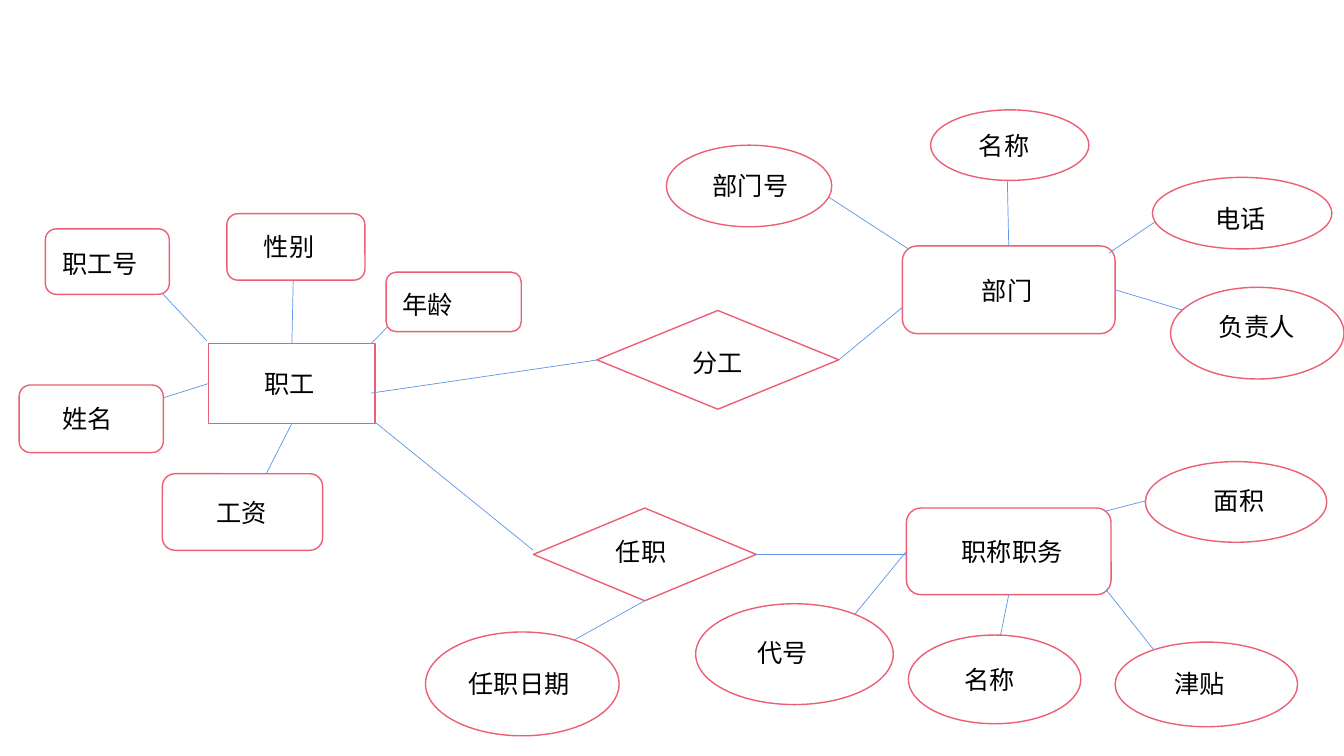
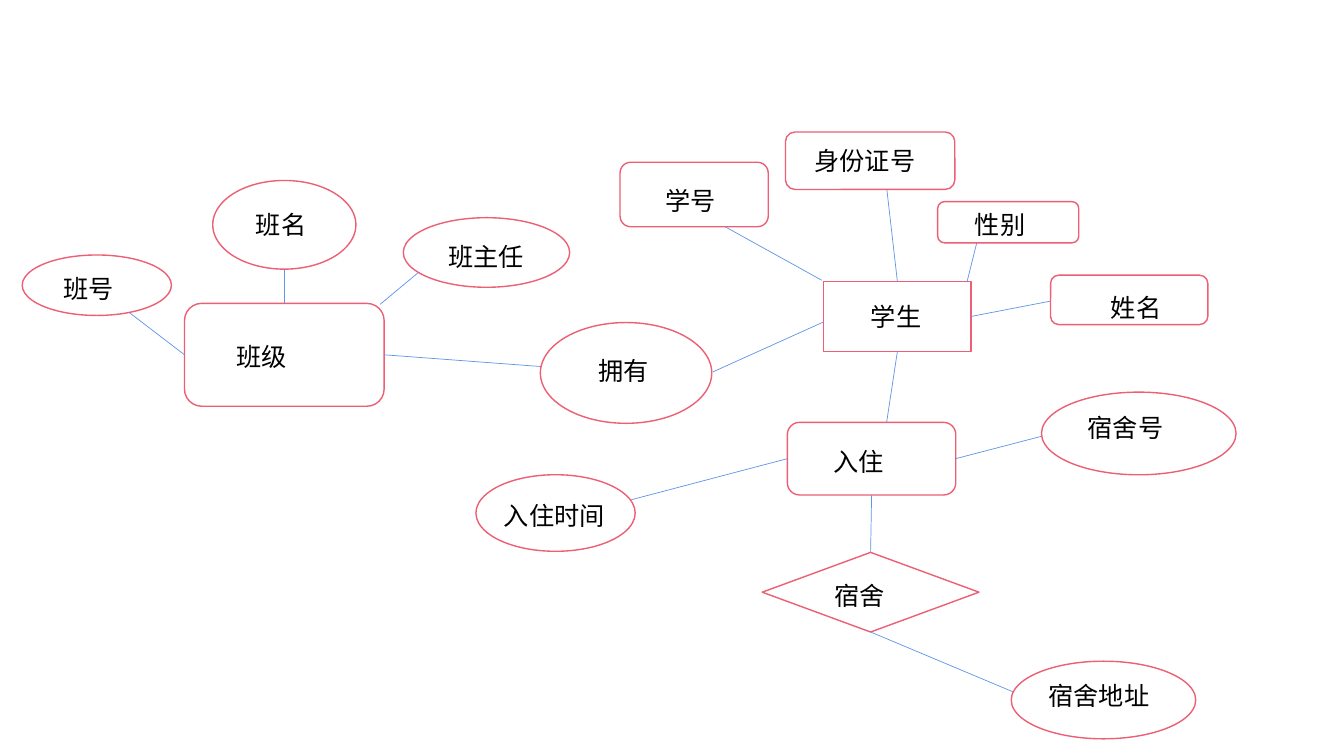
"""Draws two entity-relationship diagrams: staff and departments, students and dormitories."""
from dataclasses import dataclass
from typing import NamedTuple

from lxml import etree
from pptx import Presentation
from pptx import util as u
from pptx.dml.color import RGBColor
from pptx.enum import shapes, text
from pptx.oxml.ns import qn

EMU_PER_PX = 9144
TOP, LEFT, BOTTOM, RIGHT = range(4)
RECT = shapes.MSO_SHAPE.RECTANGLE
ROUND = shapes.MSO_SHAPE.ROUNDED_RECTANGLE
OVAL = shapes.MSO_SHAPE.OVAL
DIAMOND = shapes.MSO_SHAPE.FLOWCHART_DECISION


@dataclass(frozen=True)
class Theme:
    """Colours, font and sizes in points."""
    paper: str = "FFFFFF"
    outline: str = "EC5F74"
    link: str = "6096E6"
    ink: str = "000000"
    font: str = "Arial"
    label_size: float = 18
    outline_width: float = 1
    link_width: float = 0.5


class Node(NamedTuple):
    """A labelled outline; box is x, y, width, height and label_at is x, y, width."""
    kind: shapes.MSO_SHAPE
    box: tuple
    label: str
    label_at: tuple


def px(*lengths):
    """Turn whole pixels into EMU."""
    return [u.Emu(length * EMU_PER_PX) for length in lengths]


def write(frame, words, *, font, size, color):
    """Put one formatted run into a text frame."""
    run = frame.paragraphs[0].add_run()
    run.text = words
    run.font.name = font
    run.font.size = u.Pt(size)
    run.font.color.rgb = RGBColor.from_string(color)


class Diagram:
    """Holds the style and the current slide."""

    def __init__(self, deck, theme):
        """Remember the deck and its theme."""
        self.deck, self.theme, self.slide = deck, theme, None

    def new_slide(self):
        """Start a blank slide."""
        self.slide = self.deck.slides.add_slide(self.deck.slide_layouts[6])

    def stroke(self, line, color, width):
        """Colour a line and set its width."""
        line.color.rgb = RGBColor.from_string(color)
        line.width = u.Pt(width)

    def outline(self, node):
        """Draw the outline of a node."""
        figure = self.slide.shapes.add_shape(node.kind, *px(*node.box))
        figure.shadow.inherit = False
        figure.fill.solid()
        figure.fill.fore_color.rgb = RGBColor.from_string(self.theme.paper)
        self.stroke(figure.line, self.theme.outline, self.theme.outline_width)
        return figure

    def label(self, node):
        """Write the name of a node."""
        x, y, width = node.label_at
        frame = self.slide.shapes.add_textbox(*px(x, y, width, 40)).text_frame
        frame.word_wrap = True
        frame.auto_size = text.MSO_AUTO_SIZE.SHAPE_TO_FIT_TEXT
        write(frame, node.label, font=self.theme.font,
              size=self.theme.label_size, color=self.theme.ink)

    def link(self, figures, owner, start, end):
        """Draw a line just above its owner; an end is a point, a side or a (name, side) pair."""
        if isinstance(start, int):
            start = (owner, start)
        joined = [isinstance(tip[0], str) for tip in (start, end)]
        points = [(0, 0) if join else tip for join, tip in zip(joined, (start, end))]
        line = self.slide.shapes.add_connector(
            shapes.MSO_CONNECTOR.STRAIGHT, *px(*points[0], *points[1]))
        for join, tip, connect in zip(joined, (start, end),
                                      (line.begin_connect, line.end_connect)):
            if join:
                connect(figures[tip[0]], tip[1])
        self.stroke(line.line, self.theme.link, self.theme.link_width)
        etree.SubElement(line.element.spPr, qn("a:effectLst"))
        figures[owner].element.addnext(line.element)

    def draw(self, nodes, links):
        """Draw a whole diagram on a new slide."""
        self.new_slide()
        figures = {}
        for node in nodes:
            figures[node.label] = self.outline(node)
        for owner, ends in links.items():
            for start, end in ends:
                self.link(figures, owner, start, end)
        for node in nodes:
            self.label(node)


STAFF_NODES = [
    Node(RECT, (207, 341, 165, 79), "职工", (252, 361, 148)),
    Node(ROUND, (45, 227, 123, 65), "职工号", (52, 241, 102)),
    Node(ROUND, (225, 212, 137, 66), "性别", (252, 225, 117)),
    Node(ROUND, (383, 270, 134, 59), "年龄", (389, 282, 123)),
    Node(ROUND, (19, 382, 143, 67), "姓名", (52, 395, 123)),
    Node(ROUND, (161, 470, 159, 76), "工资", (205, 488, 108)),
    Node(DIAMOND, (529, 504, 221, 92), "任职", (601, 527, 132)),
    Node(DIAMOND, (592, 308, 240, 98), "分工", (677, 340, 133)),
    Node(ROUND, (895, 244, 211, 87), "部门", (964, 268, 179)),
    Node(ROUND, (899, 504, 203, 86), "职称职务", (944, 527, 135)),
    Node(OVAL, (661, 144, 164, 81), "部门号", (697, 164, 114)),
    Node(OVAL, (923, 109, 157, 70), "名称", (961, 124, 129)),
    Node(OVAL, (422, 627, 192, 103), "任职日期", (455, 658, 144)),
    Node(OVAL, (690, 599, 196, 100), "代号", (741, 627, 122)),
    Node(OVAL, (901, 630, 171, 88), "名称", (947, 654, 79)),
    Node(OVAL, (1106, 637, 181, 84), "津贴", (1155, 658, 99)),
    Node(OVAL, (1143, 176, 178, 71), "电话", (1196, 197, 89)),
    Node(OVAL, (1161, 285, 172, 91), "负责人", (1199, 304, 96)),
    Node(OVAL, (1136, 458, 180, 80), "面积", (1194, 477, 122)),
]
STAFF_LINKS = {
    "职工": [((205, 338), (159, 289)), (TOP, (291, 270)), ((368, 341), (416, 292)),
           (LEFT, (142, 401)), (BOTTOM, (261, 476)), ((368, 390), (641, 350)),
           ((371, 418), (529, 546))],
    "分工": [(RIGHT, (913, 290))],
    "任职": [(BOTTOM, (555, 643)), (RIGHT, (923, 550))],
    "部门": [((901, 247), (818, 193)), (TOP, (999, 173)), ((1100, 251), (1159, 211)),
           (RIGHT, (1194, 314))],
    "职称职务": [(LEFT, (831, 630)), (BOTTOM, (989, 647)), ((1097, 585), (1147, 648)),
             ((1097, 507), (1155, 492))],
}

STUDENT_NODES = [
    Node(ROUND, (183, 301, 198, 102), "班级", (225, 334, 121)),
    Node(OVAL, (536, 320, 170, 100), "拥有", (584, 348, 85)),
    Node(RECT, (817, 279, 146, 70), "学生", (854, 294, 94)),
    Node(ROUND, (781, 419, 167, 72), "入住", (817, 438, 106)),
    Node(DIAMOND, (756, 548, 215, 79), "宿舍", (818, 571, 102)),
    Node(OVAL, (22, 253, 148, 60), "班号", (53, 266, 88)),
    Node(OVAL, (211, 179, 142, 88), "班名", (244, 203, 109)),
    Node(OVAL, (400, 216, 165, 69), "班主任", (435, 234, 104)),
    Node(OVAL, (472, 471, 158, 76), "入住时间", (490, 491, 141)),
    Node(ROUND, (615, 161, 147, 64), "学号", (650, 179, 80)),
    Node(ROUND, (779, 131, 168, 57), "身份证号", (798, 139, 162)),
    Node(OVAL, (1003, 656, 183, 77), "宿舍地址", (1030, 670, 126)),
    Node(OVAL, (1033, 389, 193, 82), "宿舍号", (1069, 404, 117)),
    Node(ROUND, (930, 200, 140, 41), "性别", (957, 203, 93)),
    Node(ROUND, (1042, 273, 156, 49), "姓名", (1092, 285, 77)),
]
STUDENT_LINKS = {
    "班级": [(LEFT, (119, 303)), (TOP, (282, 260)), ((377, 302), (431, 257)),
           (RIGHT, (568, 366))],
    "拥有": [((707, 369), (831, 313))],
    "学生": [((815, 278), (703, 216)), (TOP, (878, 174)), ((959, 280), (972, 228)),
           (RIGHT, (1051, 297)), (BOTTOM, (878, 428))],
    "入住": [(LEFT, (614, 499)), (BOTTOM, ("宿舍", TOP)), (RIGHT, (1040, 431))],
    "宿舍": [(BOTTOM, (1011, 689))],
}


def main():
    """Build and save the deck."""
    deck = Presentation()
    deck.slide_width, deck.slide_height = px(1333, 750)
    diagram = Diagram(deck, Theme())
    diagram.draw(STAFF_NODES, STAFF_LINKS)
    diagram.draw(STUDENT_NODES, STUDENT_LINKS)
    deck.save("out.pptx")


if __name__ == "__main__":
    main()
